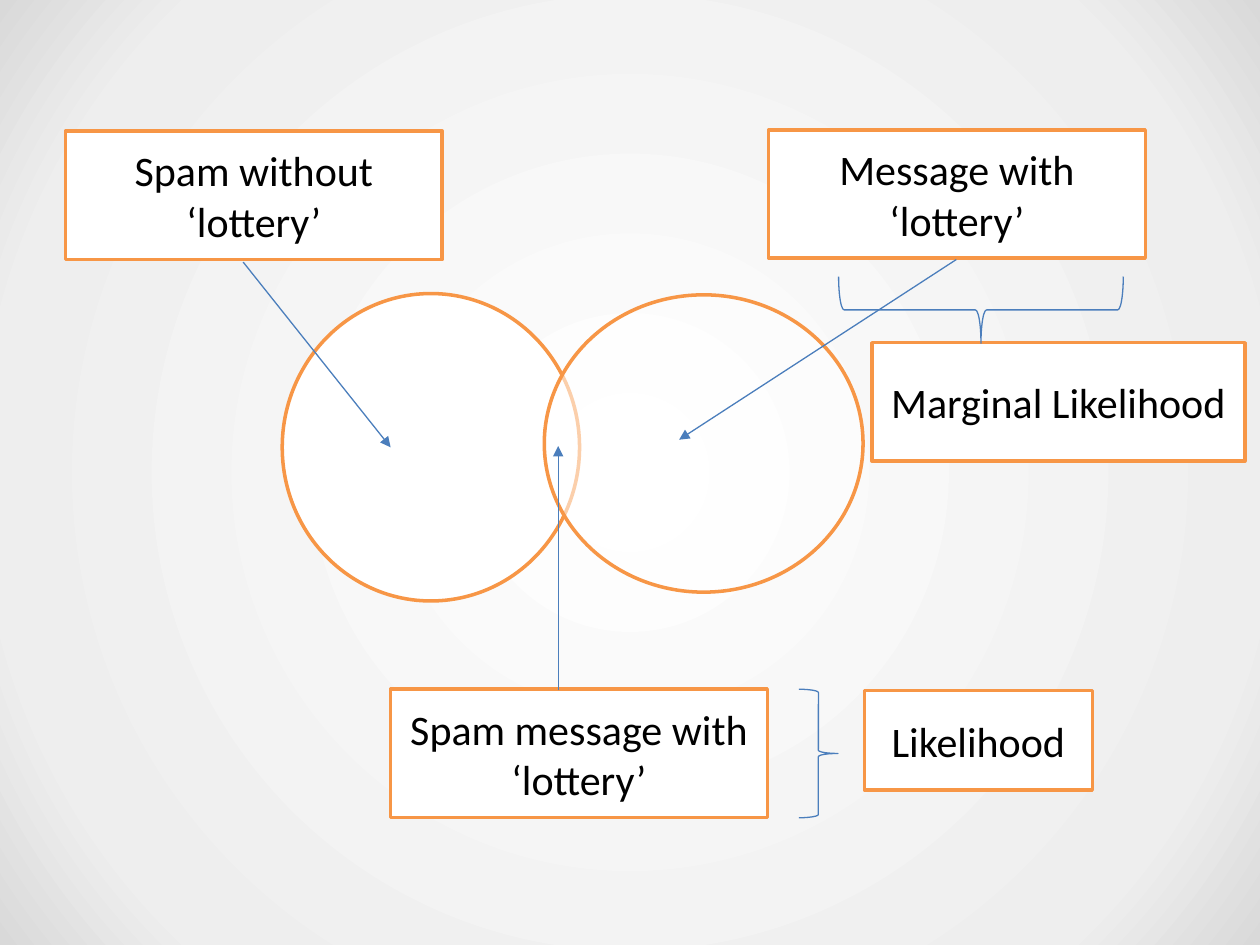
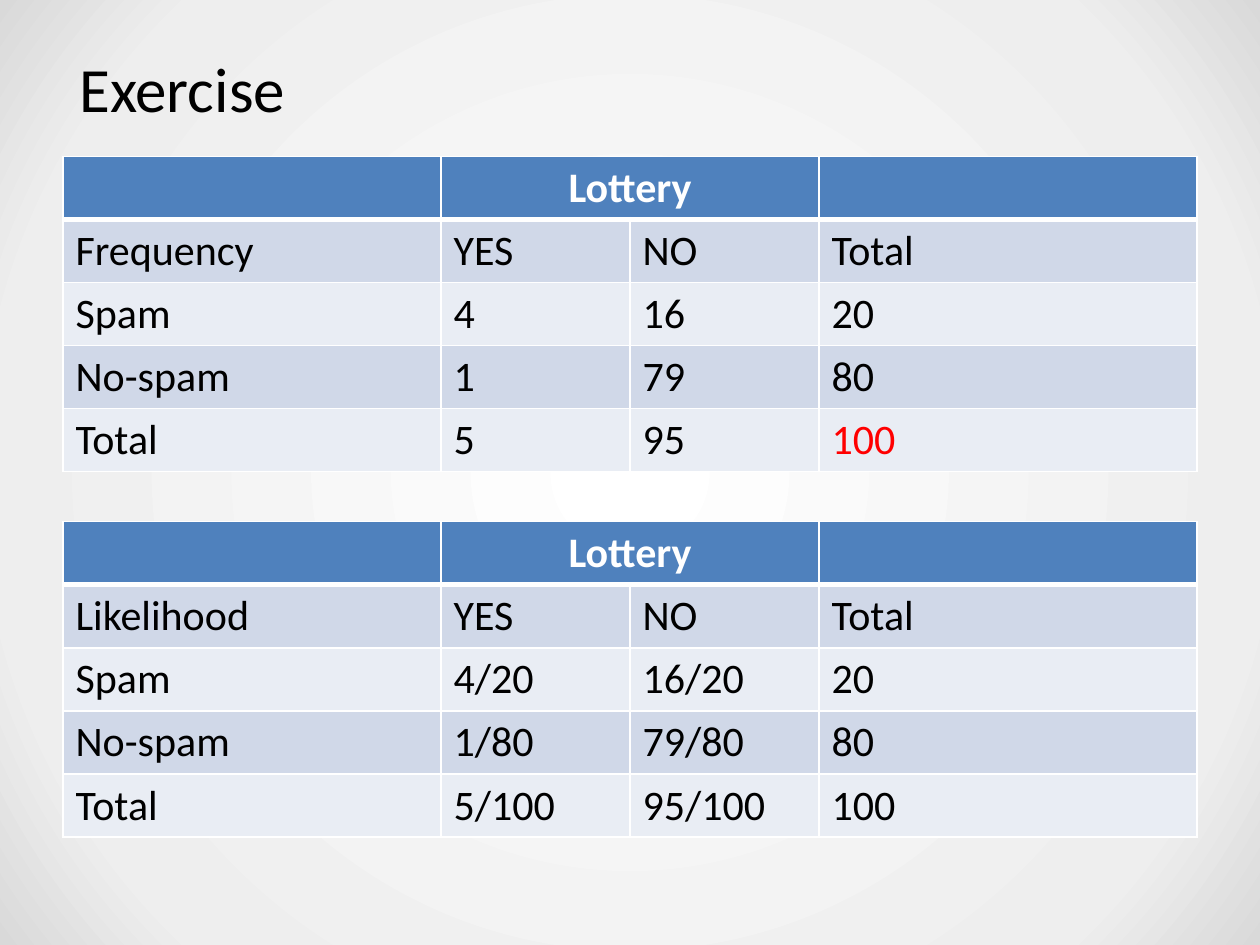
import pptx
import pptx.util
import pptx.dml.color
import pptx.enum.shapes
import pptx.enum.text
import pptx.oxml
import pptx.oxml.ns
import lxml.etree

Inches = pptx.util.Inches
Pt = pptx.util.Pt
SHAPE = pptx.enum.shapes.MSO_SHAPE
ALIGN = pptx.enum.text.PP_ALIGN
MIDDLE = pptx.enum.text.MSO_ANCHOR.MIDDLE
qn = pptx.oxml.ns.qn

# Shared look
FONT = "Calibri"
BLACK, WHITE, RED = "000000", "FFFFFF", "FF0000"
ORANGE, BLUE, HEADER = "F79646", "4B7EBC", "4F81BD"
BANDS = ("D0D8E8", "E9EDF4")
BACKDROP = ((0, "FFFFFF"), (81, "EEEEEE"), (100, "D9D9D9"))

# Venn diagram: left, top, width, height
CIRCLES = [((2.24, 2.33, 2.36, 2.44), 100), ((4.32, 2.34, 2.53, 2.36), 55)]
LABELS = [
    ("Message with ‘lottery’", (6.1, 1.03, 2.99, 1.02)),
    ("Spam without ‘lottery’", (0.52, 1.04, 2.99, 1.02)),
    ("Spam message with ‘lottery’", (3.1, 5.47, 2.99, 1.02)),
    ("Likelihood", (6.86, 5.48, 1.81, 0.79)),
    ("Marginal Likelihood", (6.92, 2.72, 2.96, 0.94)),
]
ARROWS = [(1.93, 2.08, 3.1, 3.55), (7.59, 2.06, 5.39, 3.49), (4.43, 5.48, 4.43, 3.54)]
BRACES = [((6.34, 5.47, 0.31, 1.02), 0), ((7.52, 1.33, 0.53, 2.26), 90)]

# Exercise tables
COLUMNS = (3, 1.5, 1.5, 3)
ROW_HEIGHT = 0.5
HEADING = ["", "Lottery", "", ""]
FREQUENCY = [
    HEADING,
    ["Frequency ", "YES", "NO", "Total"],
    ["Spam", "4", "16", "20"],
    ["No-spam", "1", "79", "80"],
    ["Total", "5", "95", "100"],
]
LIKELIHOOD = [
    HEADING,
    ["Likelihood ", "YES", "NO", "Total"],
    ["Spam", "4/20", "16/20", "20"],
    ["No-spam", "1/80", "79/80", "80"],
    ["Total", "5/100", "95/100", "100"],
]


def color(value):
    return pptx.dml.color.RGBColor.from_string(value)


def write(frame, text, size=24, fill=BLACK, bold=False, align=ALIGN.LEFT):
    frame.text = text
    para = frame.paragraphs[0]
    para.alignment = align
    for span in para.runs:
        span.font.name, span.font.size, span.font.bold = FONT, Pt(size), bold
        span.font.color.rgb = color(fill)


def set_line(shape, value, width):
    shape.line.color.rgb = color(value)
    shape.line.width = Pt(width)


def add_page(deck):
    page = deck.slides.add_slide(deck.slide_layouts[6])
    page.background.fill.solid()
    solid = next(page.element.iter(qn("a:solidFill")))
    stops = "".join(f'<a:gs pos="{pos * 1000}"><a:srgbClr val="{value}"/></a:gs>'
                    for pos, value in BACKDROP)
    gradient = pptx.oxml.parse_xml(
        f'<a:gradFill {pptx.oxml.ns.nsdecls("a")} rotWithShape="1"><a:gsLst>{stops}</a:gsLst>'
        '<a:path path="circle"><a:fillToRect l="50000" t="50000" r="50000" b="50000"/>'
        '</a:path></a:gradFill>')
    solid.getparent().replace(solid, gradient)
    return page


def add_outlined(page, kind, place, alpha=100):
    shape = page.shapes.add_shape(kind, *map(Inches, place))
    shape.shadow.inherit = False
    shape.fill.solid()
    shape.fill.fore_color.rgb = color(WHITE)
    if alpha < 100:
        tint = next(shape.element.spPr.iter(qn("a:srgbClr")))
        lxml.etree.SubElement(tint, qn("a:alpha")).set("val", str(alpha * 1000))
    set_line(shape, ORANGE, 2)
    return shape


def add_arrow(page, ends):
    arrow = page.shapes.add_connector(pptx.enum.shapes.MSO_CONNECTOR.STRAIGHT,
                                      *map(Inches, ends))
    set_line(arrow, BLUE, 0.75)
    outline = arrow.line._get_or_add_ln()
    lxml.etree.SubElement(outline, qn("a:tailEnd")).set("type", "triangle")
    lxml.etree.SubElement(arrow._element.spPr, qn("a:effectLst"))


def add_brace(page, place, rotation):
    brace = page.shapes.add_shape(SHAPE.RIGHT_BRACE, *map(Inches, place))
    brace.shadow.inherit = False
    brace.rotation = rotation
    brace.fill.background()
    set_line(brace, BLUE, 0.75)


def set_borders(cell, bottom):
    properties = cell._tc.get_or_add_tcPr()
    widths = (("lnL", 1), ("lnR", 1), ("lnT", 1), ("lnB", bottom))
    for index, (side, width) in enumerate(widths):
        properties.insert(index, pptx.oxml.parse_xml(
            f'<a:{side} {pptx.oxml.ns.nsdecls("a")} w="{Pt(width)}"><a:solidFill>'
            f'<a:srgbClr val="{WHITE}"/></a:solidFill></a:{side}>'))


def add_grid(page, rows, top):
    height = ROW_HEIGHT * len(rows)
    grid = page.shapes.add_table(len(rows), len(COLUMNS), Inches(0.5), Inches(top),
                                 Inches(sum(COLUMNS)), Inches(height)).table
    for column, width in zip(grid.columns, COLUMNS):
        column.width = Inches(width)
    for r, row in enumerate(rows):
        for c, text in enumerate(row):
            cell = grid.cell(r, c)
            if r == 0:
                write(cell.text_frame, text, fill=WHITE, bold=True, align=ALIGN.CENTER)
            else:
                write(cell.text_frame, text)
            cell.fill.solid()
            cell.fill.fore_color.rgb = color(BANDS[(r - 1) % 2] if r else HEADER)
            # The first two rows share the thick rule under the heading
            set_borders(cell, 1 if r else 3)
            if r == 1:
                cell._tc.tcPr.find(qn("a:lnT")).set("w", str(Pt(3)))
    grid.cell(0, 1).merge(grid.cell(0, 2))
    return grid


deck = pptx.Presentation()
deck.slide_width, deck.slide_height = Inches(10), Inches(7.5)

# Slide 1: Venn diagram
page = add_page(deck)
for place, alpha in CIRCLES:
    add_outlined(page, SHAPE.OVAL, place, alpha)
for text, place in LABELS:
    box = add_outlined(page, SHAPE.RECTANGLE, place)
    box.text_frame.vertical_anchor = MIDDLE
    write(box.text_frame, text, align=ALIGN.CENTER)
for ends in ARROWS:
    add_arrow(page, ends)
for place, rotation in BRACES:
    add_brace(page, place, rotation)

# Slide 2: title and two tables
page = add_page(deck)
title = page.shapes.add_textbox(Inches(0.5), Inches(0.3), Inches(9), Inches(0.78))
frame = title.text_frame
frame.word_wrap = True
frame.vertical_anchor = MIDDLE
frame.margin_left = frame.margin_right = Inches(0.13)
frame.margin_top = frame.margin_bottom = Inches(0.07)
write(frame, "Exercise ", size=36)
frequency = add_grid(page, FREQUENCY, 1.24)
grand_total = frequency.cell(4, 3).text_frame.paragraphs[0].runs[0]
grand_total.font.color.rgb = color(RED)
add_grid(page, LIKELIHOOD, 4.14)

deck.save("out.pptx")
